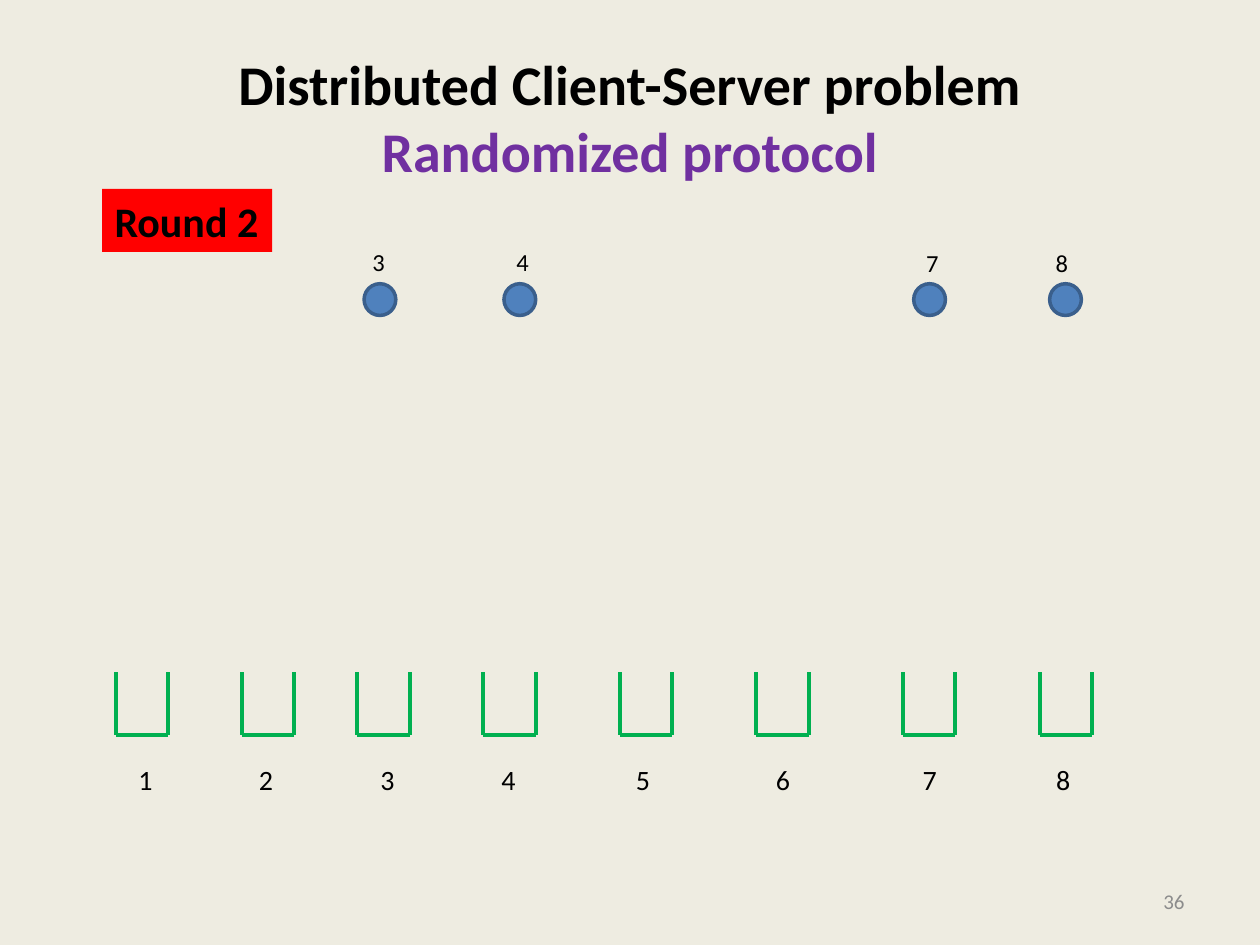
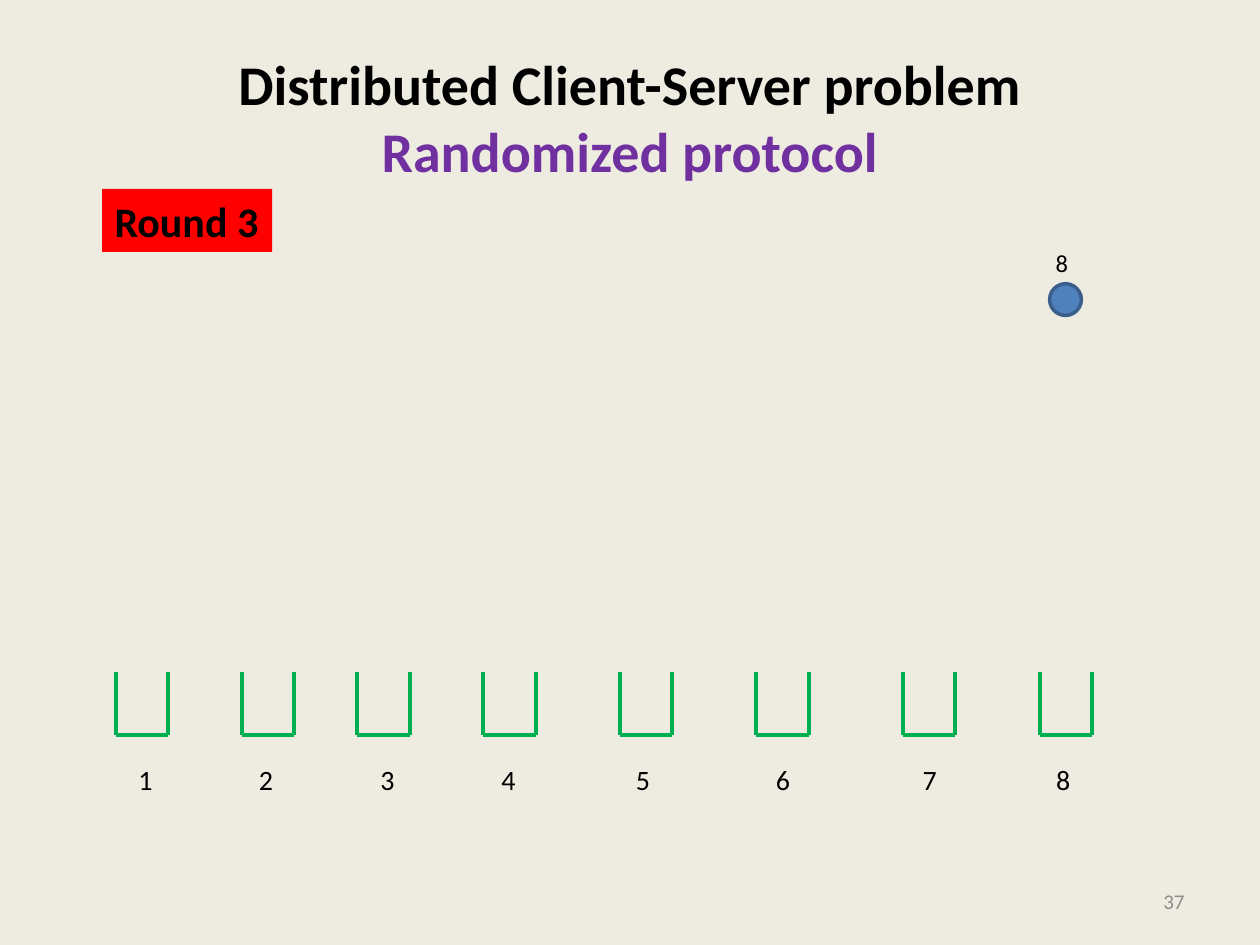
import pptx
import pptx.dml.color
import pptx.enum.shapes
import pptx.enum.text
import pptx.oxml.ns
import pptx.util
from lxml import etree

Cm, Pt = pptx.util.Cm, pptx.util.Pt
RGBColor = pptx.dml.color.RGBColor
MSO_SHAPE = pptx.enum.shapes.MSO_SHAPE
STRAIGHT = pptx.enum.shapes.MSO_CONNECTOR.STRAIGHT
PP_ALIGN = pptx.enum.text.PP_ALIGN
MSO_ANCHOR = pptx.enum.text.MSO_ANCHOR
MSO_AUTO_SIZE = pptx.enum.text.MSO_AUTO_SIZE
qn = pptx.oxml.ns.qn

SAND = RGBColor(0xEE, 0xEC, 0xE1)
BLACK = RGBColor(0, 0, 0)
PURPLE = RGBColor(0x70, 0x30, 0xA0)
GREY = RGBColor(0x8C, 0x8C, 0x8C)
RED = RGBColor(0xFF, 0, 0)
GREEN = RGBColor(0, 0xB0, 0x50)
BLUE = RGBColor(0x4F, 0x81, 0xBD)
DARK_BLUE = RGBColor(0x3A, 0x5F, 0x8C)

# All positions are in centimetres.
SERVER_LEFTS = [2.33, 4.87, 7.2, 9.74, 12.49, 15.24, 18.2, 20.96]
SERVER_TOP, SERVER_WIDTH, SERVER_HEIGHT = 13.55, 1.06, 1.27
SERVER_TABS = [2.43, 4.88, 7.32, 10.03, 12.85, 15.81, 18.5]
# Client number: left of its circle, left and top of its label
CLIENTS = {3: (7.34, 7.26, 4.85), 4: (10.16, 10.16, 4.85),
           7: (18.42, 18.42, 4.88), 8: (21.16, 21.03, 4.88)}
CLIENT_TOP, CLIENT_SIZE = 5.72, 0.64

# Slide number, round and clients still waiting
ROUNDS = [(36, 2, [3, 4, 7, 8]), (37, 3, [8])]


def style_font(font, size, color=BLACK, bold=False):
    style = {"name": "Calibri", "size": Pt(size), "bold": bold}
    for attribute, value in style.items():
        setattr(font, attribute, value)
    font.color.rgb = color


def write_line(frame, text, size, color=BLACK, bold=False):
    """Put one unwrapped line of text in a frame and return its paragraph."""
    frame.word_wrap = False
    paragraph = frame.paragraphs[0]
    run = paragraph.add_run()
    run.text = text
    style_font(run.font, size, color, bold)
    return paragraph


def add_label(shapes, box, text, size, color=BLACK):
    label = shapes.add_textbox(*map(Cm, box))
    return label.text_frame, write_line(label.text_frame, text, size, color)


def set_title(slide):
    title = slide.shapes.title
    place = {"left": 1.27, "top": 0.76, "width": 22.86, "height": 3.18}
    for side, length in place.items():
        setattr(title, side, Cm(length))
    frame = title.text_frame
    frame.auto_size = MSO_AUTO_SIZE.NONE
    frame.vertical_anchor = MSO_ANCHOR.MIDDLE
    paragraph = write_line(frame, "Distributed Client-Server problem", 32, bold=True)
    frame.word_wrap = True
    paragraph.alignment = PP_ALIGN.CENTER
    paragraph.add_line_break()
    subtitle = paragraph.add_run()
    subtitle.text = "Randomized protocol"
    style_font(subtitle.font, 32, PURPLE, True)


def add_slide_number(slide, number):
    frame, paragraph = add_label(slide.shapes, (18.2, 17.66, 5.93, 1.01),
                                 str(number), 12, GREY)
    frame.word_wrap = True
    frame.vertical_anchor = MSO_ANCHOR.MIDDLE
    paragraph.alignment = PP_ALIGN.RIGHT


def add_client(slide, number):
    circle_left, label_left, label_top = CLIENTS[number]
    client = slide.shapes.add_group_shape().shapes
    circle = client.add_shape(MSO_SHAPE.OVAL, Cm(circle_left), Cm(CLIENT_TOP),
                              Cm(CLIENT_SIZE), Cm(CLIENT_SIZE))
    circle.shadow.inherit = False
    circle.fill.solid()
    circle.fill.fore_color.rgb = BLUE
    circle.line.color.rgb = DARK_BLUE
    circle.line.width = Pt(2)
    add_label(client, (label_left, label_top, 0.76, 0.86), str(number), 14)


def add_edge(shapes, *ends):
    edge = shapes.add_connector(STRAIGHT, *map(Cm, ends))
    edge.line.color.rgb = GREEN
    edge.line.width = Pt(2.25)
    etree.SubElement(edge._element.spPr, qn("a:effectLst"))


def add_servers(slide):
    """Draw the open-topped servers with their numbers on one tabbed line."""
    servers = slide.shapes.add_group_shape().shapes
    bottom = SERVER_TOP + SERVER_HEIGHT
    for left in SERVER_LEFTS:
        right = left + SERVER_WIDTH
        add_edge(servers, left, SERVER_TOP, left, bottom)
        add_edge(servers, right, SERVER_TOP, right, bottom)
        add_edge(servers, left, bottom, right, bottom)
    numbers = "\t".join(str(n + 1) for n in range(len(SERVER_LEFTS)))
    _, paragraph = add_label(servers, (2.54, 15.24, 19.48, 0.94), numbers, 16)
    tabs = etree.SubElement(paragraph._p.get_or_add_pPr(), qn("a:tabLst"))
    for position in SERVER_TABS:
        etree.SubElement(tabs, qn("a:tab"), pos=str(Cm(position)), algn="l")


def add_round_tag(slide, number):
    tag = slide.shapes.add_shape(MSO_SHAPE.RECTANGLE, Cm(2.06), Cm(3.81),
                                 Cm(3.43), Cm(1.27))
    tag.shadow.inherit = False
    tag.fill.solid()
    tag.fill.fore_color.rgb = RED
    tag.line.fill.background()
    tag.text_frame.vertical_anchor = MSO_ANCHOR.TOP
    paragraph = write_line(tag.text_frame, f"Round {number}", 24, bold=True)
    paragraph.alignment = PP_ALIGN.LEFT


def main():
    deck = pptx.Presentation()
    deck.slide_width, deck.slide_height = Cm(25.4), Cm(19.05)
    background = deck.slide_master.background.fill
    background.solid()
    background.fore_color.rgb = SAND
    for slide_number, round_number, waiting in ROUNDS:
        slide = deck.slides.add_slide(deck.slide_layouts[5])
        set_title(slide)
        add_slide_number(slide, slide_number)
        for client in waiting:
            add_client(slide, client)
        add_servers(slide)
        add_round_tag(slide, round_number)
    deck.save("out.pptx")


if __name__ == "__main__":
    main()
